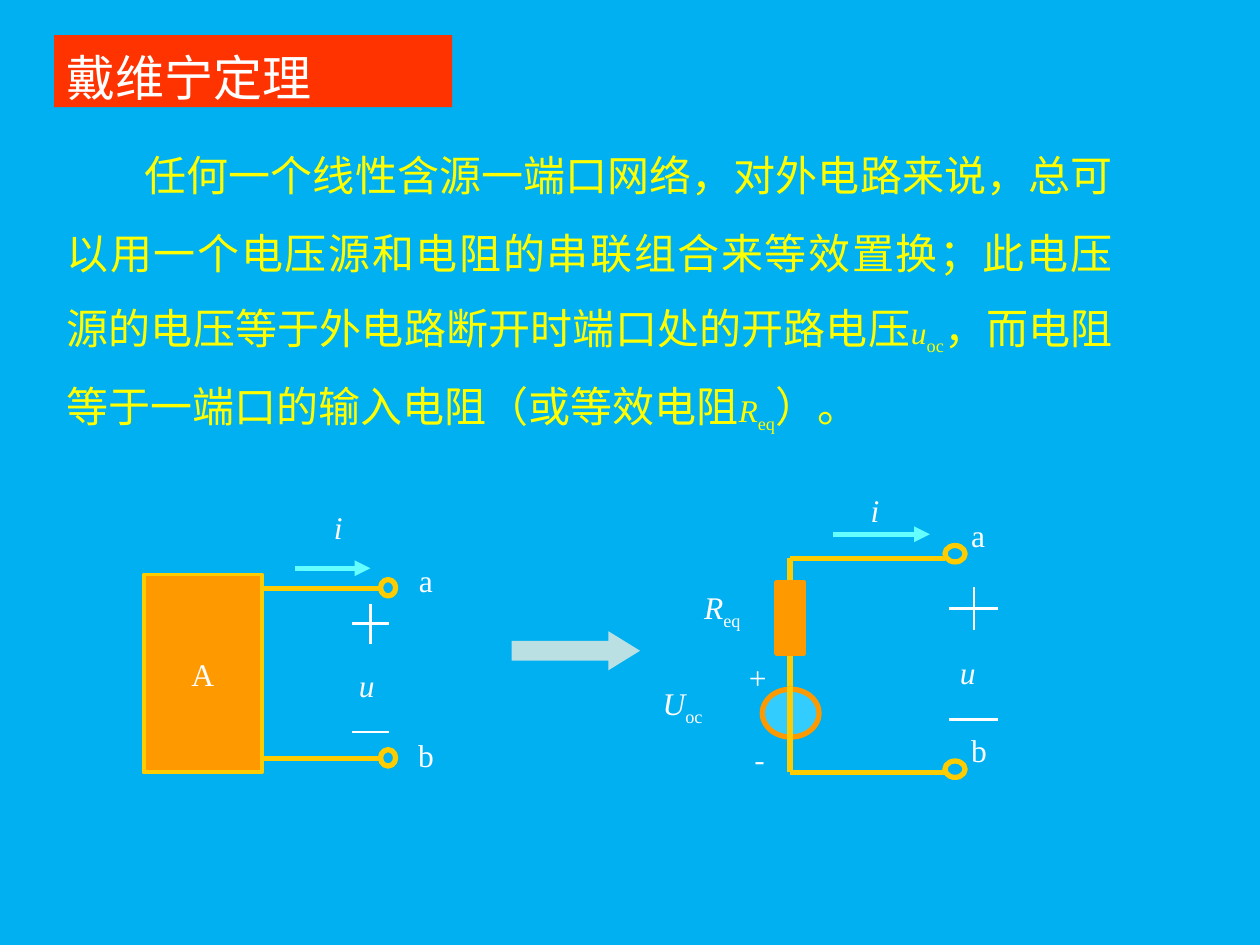
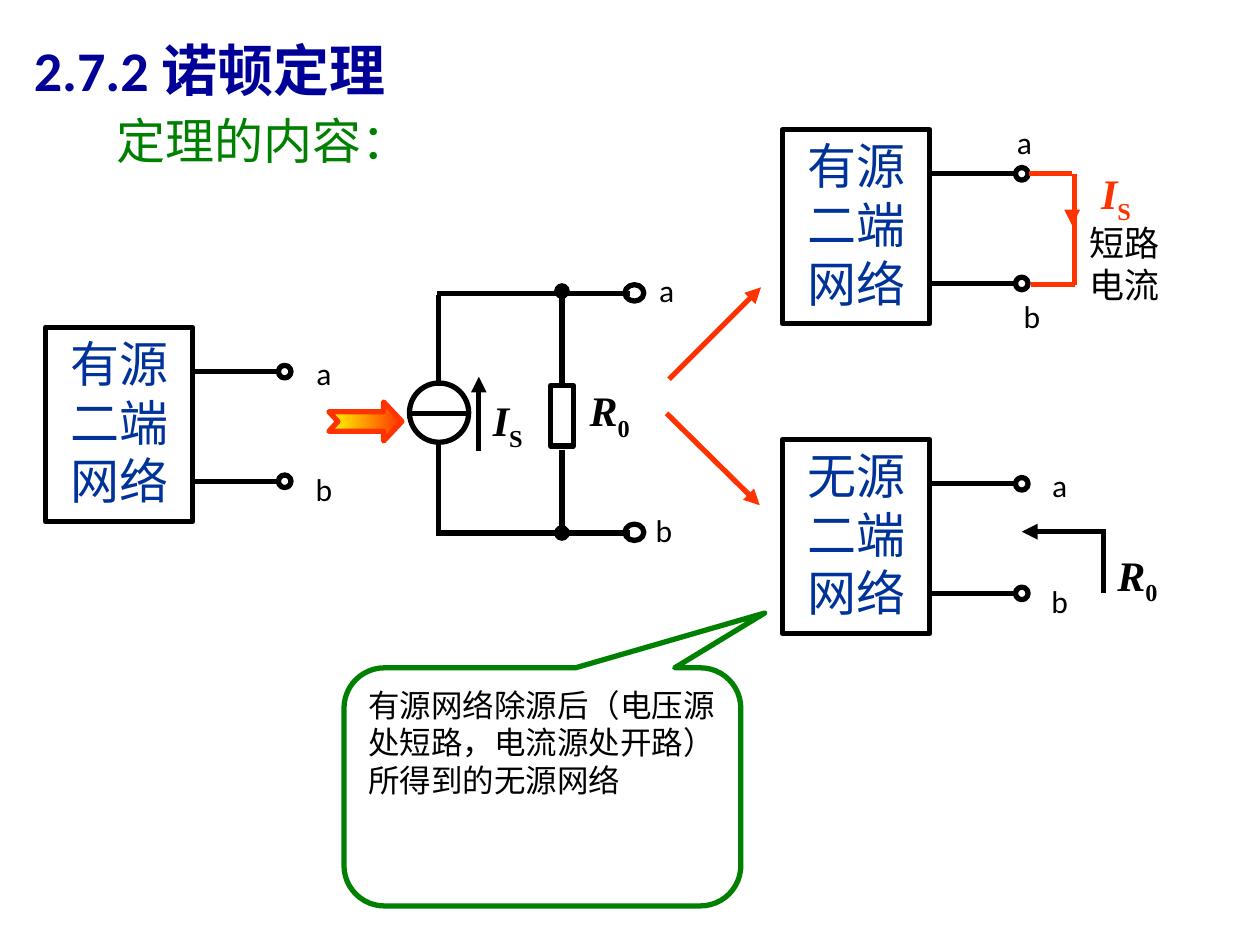
from lxml import etree
from pptx import Presentation
from pptx.dml.color import RGBColor
from pptx.enum.shapes import MSO_CONNECTOR, MSO_SHAPE
from pptx.enum.text import MSO_ANCHOR, PP_ALIGN
from pptx.oxml.ns import qn
from pptx.util import Pt

PX = 9144  # 100 px to the inch
RECT, OVAL = MSO_SHAPE.RECTANGLE, MSO_SHAPE.OVAL
ARROW, NOTCH = MSO_SHAPE.RIGHT_ARROW, MSO_SHAPE.NOTCHED_RIGHT_ARROW
BUBBLE = MSO_SHAPE.ROUNDED_RECTANGULAR_CALLOUT
STRAIGHT = MSO_CONNECTOR.STRAIGHT
TOP, MIDDLE = MSO_ANCHOR.TOP, MSO_ANCHOR.MIDDLE
LEFT, CENTER, JUSTIFY = PP_ALIGN.LEFT, PP_ALIGN.CENTER, PP_ALIGN.JUSTIFY

HAN, LATIN, TIMES = "Noto Sans CJK SC", "Calibri", "Times New Roman"
WHITE = RGBColor(0xFF, 0xFF, 0xFF)
BLACK = RGBColor(0, 0, 0)
SKY = RGBColor(0x00, 0xB0, 0xF0)
RED = RGBColor(0xFF, 0x33, 0x00)
YELLOW = RGBColor(0xFF, 0xFF, 0x00)
ORANGE = RGBColor(0xFF, 0x99, 0x00)
GOLD = RGBColor(0xFF, 0xCC, 0x00)
CYAN = RGBColor(0x66, 0xFF, 0xFF)
AQUA = RGBColor(0x33, 0xCC, 0xFF)
PALE = RGBColor(0xBB, 0xE0, 0xE3)
NAVY = RGBColor(0x00, 0x00, 0x99)
BLUE = RGBColor(0x00, 0x33, 0x99)
GREEN = RGBColor(0x00, 0x80, 0x00)


def put(slide, kind, at, fill=None, line=None, width=3, runs=(), ink=WHITE,
        align=LEFT, anchor=TOP, lead=None, indent=0):
    """Add a shape, or a text box if kind is None.

    A run is (text, size, font, style); style holds b, i or s (subscript).
    """
    box = [n * PX for n in at]
    if kind is None:
        shape = slide.shapes.add_textbox(*box)
    else:
        shape = slide.shapes.add_shape(kind, *box)
        shape.shadow.inherit = False
        if fill is None:
            shape.fill.background()
        else:
            shape.fill.solid()
            shape.fill.fore_color.rgb = fill
        if line is None:
            shape.line.fill.background()
        else:
            shape.line.color.rgb = line
            shape.line.width = Pt(width)
    if runs:
        frame = shape.text_frame
        frame.word_wrap = True
        frame.vertical_anchor = anchor
        para = frame.paragraphs[0]
        para.alignment = align
        if lead:
            para.line_spacing = Pt(lead)
        if indent:
            para._p.get_or_add_pPr().set("indent", str(indent * PX))
        for text, size, name, style in runs:
            run = para.add_run()
            run.text = text
            font = run.font
            font.size, font.name = Pt(size), name
            font.bold, font.italic = "b" in style, "i" in style
            font.color.rgb = ink
            props = run._r.get_or_add_rPr()
            etree.SubElement(props, qn("a:ea")).set("typeface", HAN)
            if "s" in style:
                props.set("baseline", "-25000")
    return shape


def wire(slide, ends, color, width=3, tip=None):
    """Draw a straight line; tip names the line end at its last point."""
    link = slide.shapes.add_connector(STRAIGHT, *[n * PX for n in ends])
    link.line.color.rgb = color
    link.line.width = Pt(width)
    if tip:
        stroke = link.line._get_or_add_ln()
        etree.SubElement(stroke, qn("a:tailEnd")).set("type", tip)
    etree.SubElement(link._element.spPr, qn("a:effectLst"))


deck = Presentation()
deck.slide_width, deck.slide_height = 1000 * PX, 750 * PX
pages = []
for back in (SKY, WHITE):
    page = deck.slides.add_slide(deck.slide_layouts[6])
    page.background.fill.solid()
    page.background.fill.fore_color.rgb = back
    pages.append(page)
first, second = pages

# Slide 1: Thevenin's theorem
put(first, RECT, (43, 28, 316, 57), RED, lead=37,
    runs=[("戴维宁定理", 28, HAN, "")])
put(first, None, (43, 92, 850, 270), ink=YELLOW, align=JUSTIFY, lead=44.5,
    indent=62, runs=[
        ("任何一个线性含源一端口网络，对外电路来说，总可以用一个电压源和电阻的"
         "串联组合来等效置换；此电压源的电压等于外电路断开时端口处的开路电压",
         24, HAN, ""),
        ("u", 18, TIMES, "i"), ("oc", 18, TIMES, "s"),
        ("，而电阻等于一端口的输入电阻（或等效电阻", 24, HAN, ""),
        ("R", 18, TIMES, "i"), ("eq", 18, TIMES, "s"),
        ("）。", 24, HAN, "")])

swap = put(first, ARROW, (406, 501, 102, 31), PALE)
swap.adjustments[0], swap.adjustments[1] = 0.5, 0.81

# Network A and its port
put(first, RECT, (114, 456, 94, 157), ORANGE, GOLD, 2.25, align=CENTER,
    anchor=MIDDLE, runs=[("A", 18, TIMES, "")])
for y in (467, 602):
    wire(first, (209, y, 302, y), GOLD)
    put(first, OVAL, (302, y - 7, 12, 13), line=GOLD)

# Equivalent circuit
for ends in ((627, 443, 750, 443), (627, 443, 627, 613), (627, 613, 750, 613)):
    wire(first, ends, GOLD)
put(first, RECT, (616, 462, 22, 57), ORANGE, ORANGE, 2.25)
put(first, OVAL, (605, 547, 45, 38), AQUA, ORANGE)
wire(first, (627, 545, 627, 587), GOLD)
for y in (433, 604):
    put(first, OVAL, (750, y, 16, 13), line=GOLD)

# Current arrows and polarity marks
for ends in ((234, 451, 294, 451), (661, 424, 738, 424)):
    wire(first, ends, CYAN, tip="triangle")
for ends in ((279, 581, 309, 581), (279, 495, 309, 495), (294, 511, 294, 479),
             (753, 571, 792, 571), (753, 483, 792, 483), (773, 500, 773, 466)):
    wire(first, ends, WHITE, 1.5)

for sign, font, style, x, y, w in (
        ("a", TIMES, "", 318, 432, 40), ("b", TIMES, "", 317, 571, 42),
        ("i", TIMES, "i", 253, 390, 31), ("u", TIMES, "i", 270, 515, 42),
        ("i", TIMES, "i", 672, 376, 45), ("u", TIMES, "i", 747, 505, 42),
        ("+", TIMES, "", 575, 509, 53), ("-", HAN, "", 583, 575, 40)):
    put(first, None, (x, y, w, 57), align=CENTER, anchor=MIDDLE,
        runs=[(sign, 18, font, style)])
for sign, y in (("a", 405), ("b", 575)):
    put(first, None, (761, y, 78, 57), runs=[(sign, 18, TIMES, "")])
for sign, sub, x, y in (("R", "eq", 549, 462), ("U", "oc", 516, 538)):
    put(first, None, (x, y, 78, 57),
        runs=[(sign, 18, TIMES, "i"), (sub, 18, TIMES, "s")])

# Slide 2: Norton's theorem
put(second, None, (17, 21, 357, 58), ink=NAVY, lead=40,
    runs=[("2.7.2 ", 32, LATIN, "b"), ("诺顿定理", 32, HAN, "b")])
put(second, None, (83, 77, 256, 59), ink=GREEN, anchor=MIDDLE, lead=40,
    runs=[("定理的内容：", 28, LATIN, "")])

# Two-terminal networks
for word, x, y in (("有源二端网络", 36, 260), ("无源二端网络", 621, 349),
                   ("有源二端网络", 621, 103)):
    for drop in (35, 122):
        put(second, OVAL, (x + 185, y + drop - 5, 10, 10), line=BLACK)
        wire(second, (x + 187, y + drop, x + 117, y + drop), BLACK)
    put(second, RECT, (x, y, 117, 154), line=BLACK, ink=BLUE, align=CENTER,
        lead=33.5, runs=[(word, 28, LATIN, "")])

flow = put(second, NOTCH, (261, 319, 58, 31), RED, RED)
flow.adjustments[0], flow.adjustments[1] = 0.5, 0.47
flow.fill.gradient()
flow.fill.gradient_angle = 0
for stop, color in zip(flow.fill.gradient_stops, (YELLOW, RED)):
    stop.color.rgb = color
for ends in ((531, 301, 604, 228), (529, 328, 603, 401)):
    wire(second, ends, RED, tip="triangle")

# Norton circuit
put(second, OVAL, (325, 304, 47, 47), line=BLACK)
put(second, RECT, (437, 306, 18, 48), line=BLACK)
for ends, tip in (((325, 328, 372, 328), None), ((348, 351, 348, 425), None),
                  ((348, 234, 348, 306), None), ((446, 357, 446, 423), "oval"),
                  ((446, 306, 446, 231), "oval"),
                  ((380, 358, 380, 299), "triangle")):
    wire(second, ends, BLACK, tip=tip)
for y in (233, 423):
    wire(second, (347, y, 500, y), BLACK)
    put(second, OVAL, (496, y - 7, 15, 13), line=BLACK)

# Input resistance and short-circuit current
wire(second, (878, 422, 811, 422), BLACK, tip="triangle")
wire(second, (876, 421, 876, 471), BLACK)
for ends in ((817, 138, 851, 138), (853, 138, 853, 226), (818, 226, 853, 226)):
    wire(second, ends, RED)
wire(second, (851, 171, 851, 179), RED, tip="triangle")
put(second, None, (855, 171, 89, 77), ink=BLACK, lead=24,
    runs=[("短路电流", 20, LATIN, "")])

for sign, x, y in (("a", 238, 271), ("b", 238, 363), ("a", 822, 360),
                   ("b", 822, 452), ("a", 510, 205), ("b", 508, 396),
                   ("a", 794, 88), ("b", 800, 226)):
    put(second, None, (x, y, 38, 50), ink=BLACK, align=CENTER, anchor=MIDDLE,
        runs=[(sign, 18, LATIN, "")])
for sign, sub, x, y, w, ink, align, anchor in (
        ("R", "0", 877, 431, 55, BLACK, LEFT, TOP),
        ("I", "S", 362, 311, 82, BLACK, CENTER, MIDDLE),
        ("R", "0", 443, 303, 82, BLACK, CENTER, MIDDLE),
        ("I", "S", 864, 131, 59, RED, LEFT, MIDDLE)):
    put(second, None, (x, y, w, 50), ink=ink, align=align, anchor=anchor,
        runs=[(sign, 24, TIMES, "bi"), (sub, 24, TIMES, "bs")])

note = put(second, BUBBLE, (273, 530, 315, 189), line=GREEN, ink=BLACK,
           lead=21.5, runs=[("有源网络除源后（电压源处短路，电流源处开路）"
                             "所得到的无源网络", 18, HAN, "")])
for spot, value in enumerate((0.56, -0.73, 0.17)):
    note.adjustments[spot] = value

deck.save("out.pptx")
